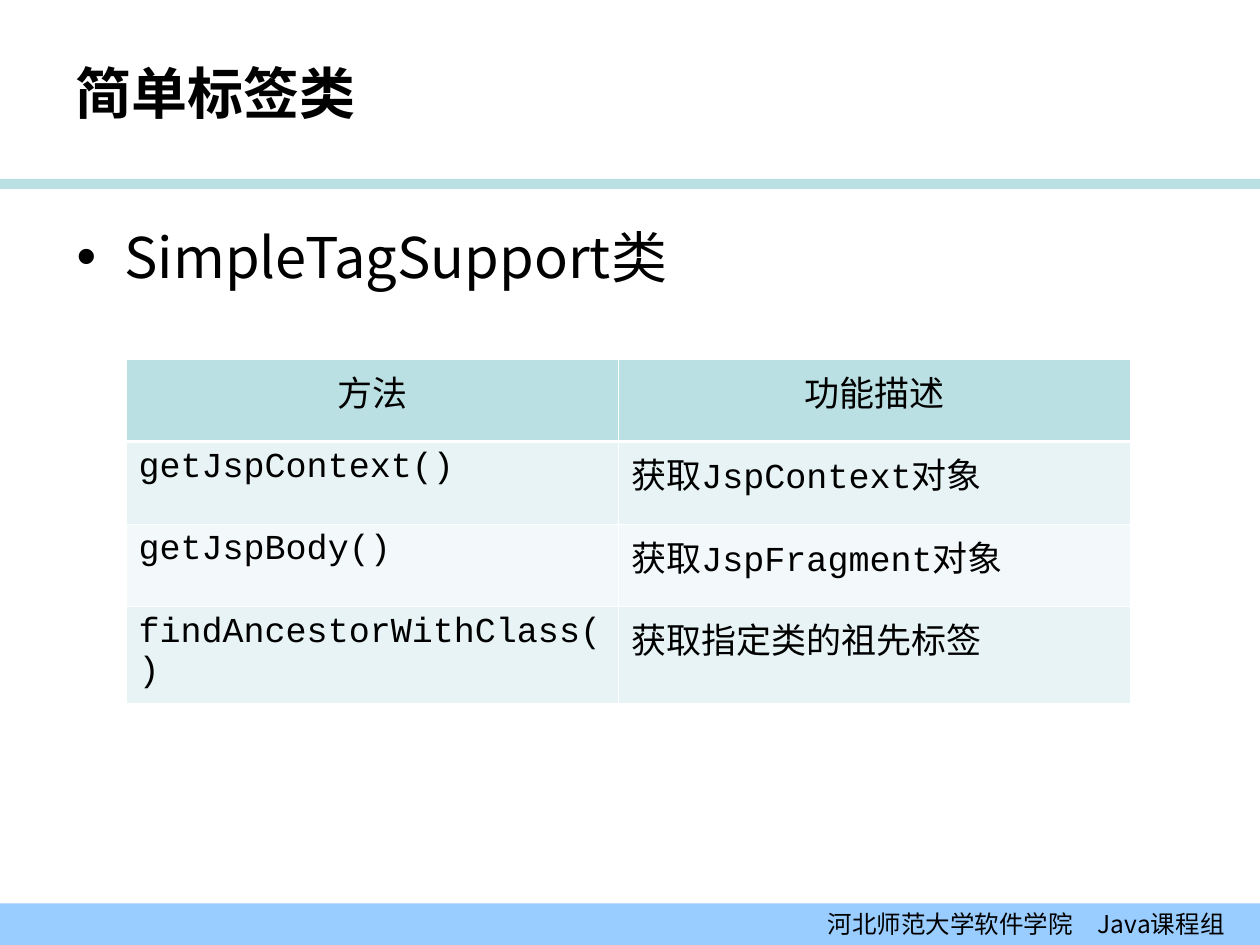
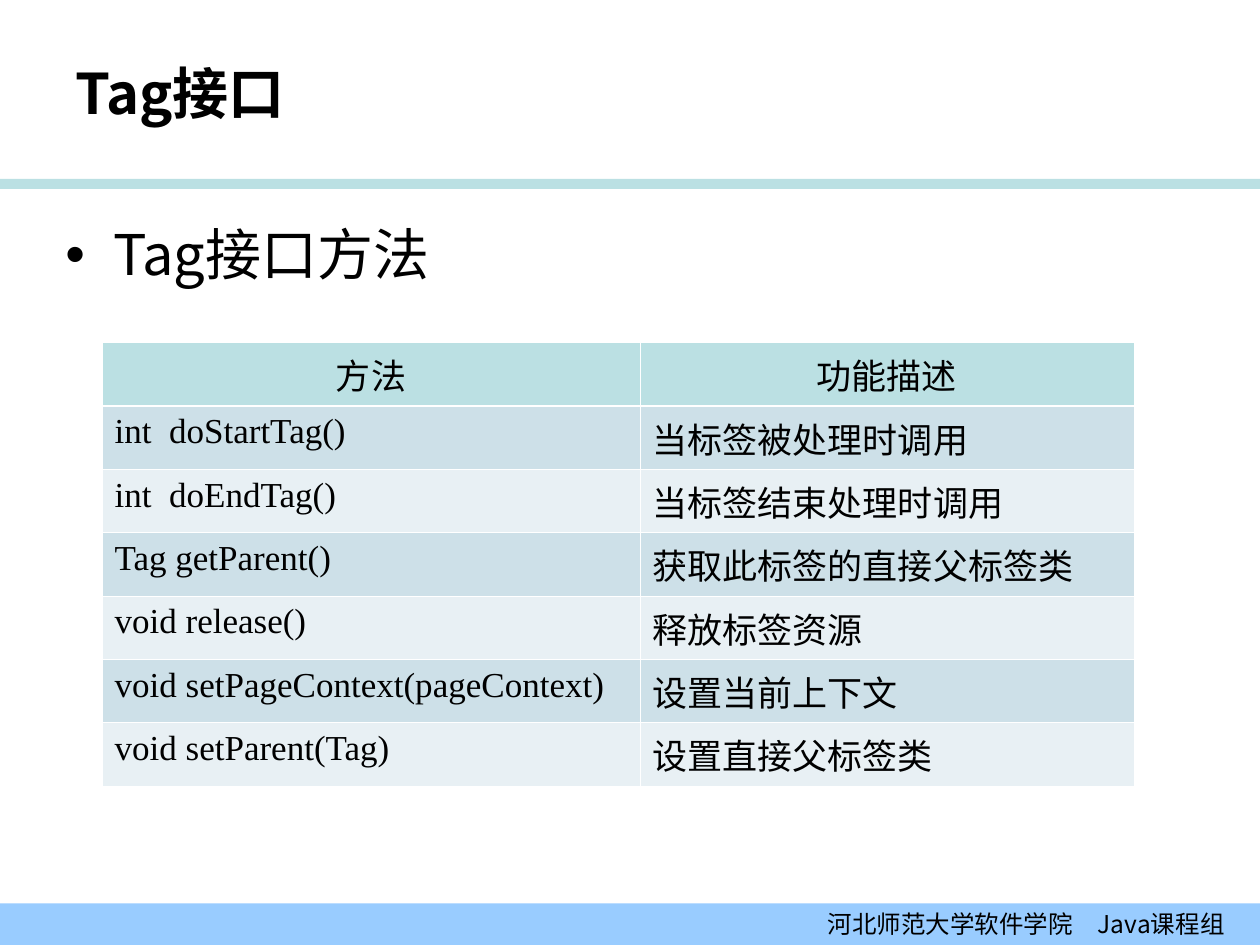
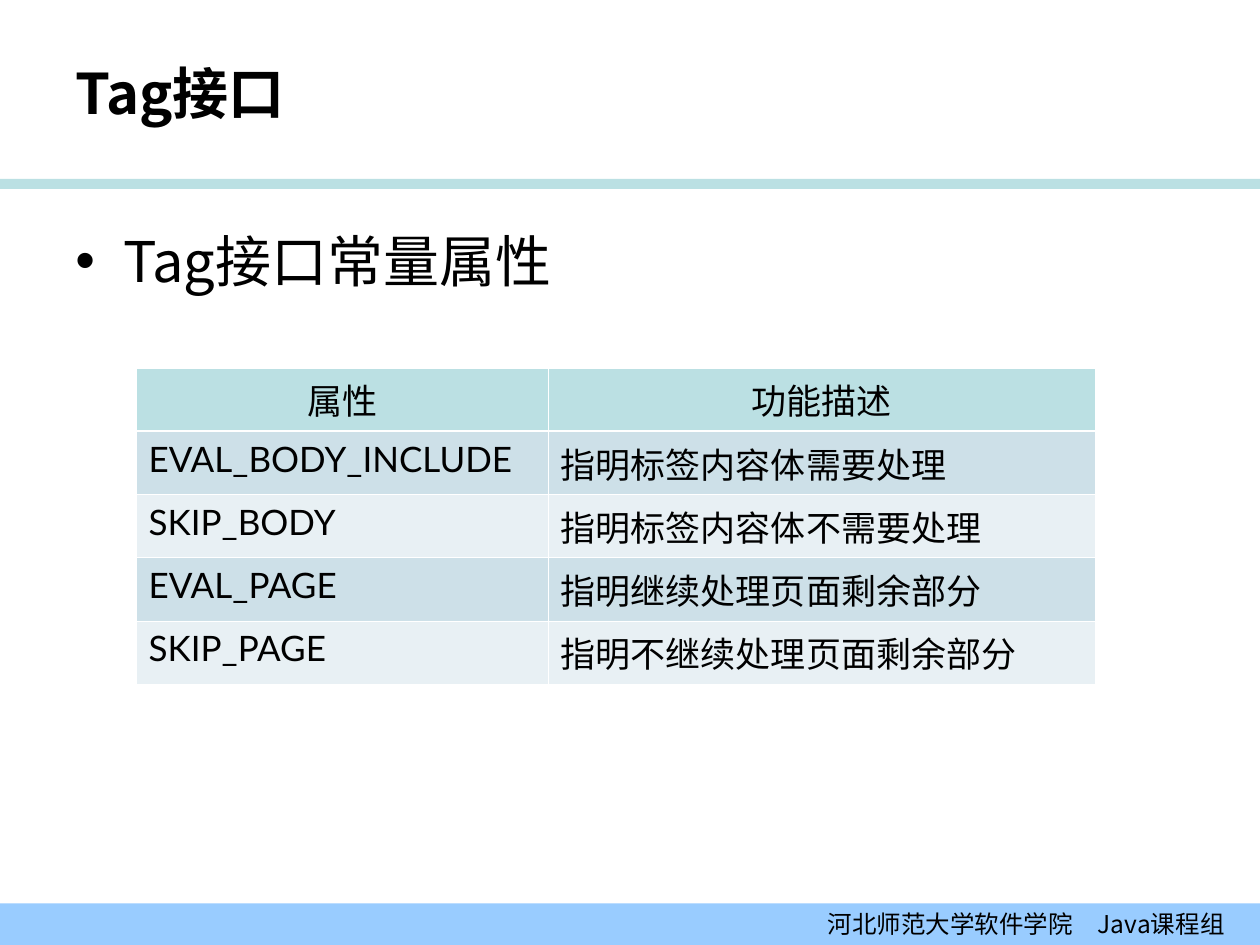
from lxml import etree
from pptx import Presentation
from pptx.dml.color import RGBColor
from pptx.enum.shapes import MSO_SHAPE as Shape
from pptx.enum.text import MSO_ANCHOR as Anchor, PP_ALIGN as Align
from pptx.oxml.ns import qn
from pptx.util import Inches, Pt

# Shared style
BLACK = RGBColor(0x00, 0x00, 0x00)
TEAL = RGBColor(0xBB, 0xE0, 0xE3)
SKY = RGBColor(0x99, 0xCC, 0xFF)
MINT_BANDS = (RGBColor(0xE7, 0xF3, 0xF4), RGBColor(0xF3, 0xF9, 0xFA))
BLUE_BANDS = (RGBColor(0xCD, 0xE0, 0xE8), RGBColor(0xE8, 0xF0, 0xF4))
BORDER = "FFFFFF"
THIN, THICK = 0.45, 1.47
SANS, MONO, SERIF, LATO = "Noto Sans CJK SC", "Courier New", "Times New Roman", "Lato"
FOOTER = "河北师范大学软件学院　Java课程组"

# Slide content: each table lists its header row first
SLIDES = [
    {
        "title": "简单标签类",
        "bullet": "SimpleTagSupport类",
        "bullet_at": (0.51, 1.72, 9, 3.2),
        "line_spacing": 1.0,
        "table_at": (1, 2.85),
        "columns": (3.91, 4.06),
        "table_height": 2.62,
        "fonts": (MONO, MONO),
        "header_font": MONO,
        "bands": MINT_BANDS,
        "rows": [
            ("方法", "功能描述"),
            ("getJspContext()", "获取JspContext对象"),
            ("getJspBody()", "获取JspFragment对象"),
            ("findAncestorWithClass()", "获取指定类的祖先标签"),
        ],
    },
    {
        "title": "Tag接口",
        "bullet": "Tag接口方法",
        "bullet_at": (0.42, 1.75, 9, 5.34),
        "line_spacing": 0.9,
        "table_at": (0.81, 2.72),
        "columns": (4.27, 3.92),
        "table_height": 3.52,
        "fonts": (SERIF, LATO),
        "header_font": LATO,
        "bands": BLUE_BANDS,
        "rows": [
            ("方法", "功能描述"),
            ("int  doStartTag()", "当标签被处理时调用"),
            ("int  doEndTag()", "当标签结束处理时调用"),
            ("Tag getParent()", "获取此标签的直接父标签类"),
            ("void release()", "释放标签资源"),
            ("void setPageContext(pageContext)", "设置当前上下文"),
            ("void setParent(Tag)", "设置直接父标签类"),
        ],
    },
    {
        "title": "Tag接口",
        "bullet": "Tag接口常量属性",
        "bullet_at": (0.5, 1.75, 9, 4.95),
        "line_spacing": 1.0,
        "table_at": (1.08, 2.92),
        "columns": (3.27, 4.34),
        "table_height": 2.51,
        "fonts": (LATO, LATO),
        "header_font": LATO,
        "bands": BLUE_BANDS,
        "rows": [
            ("属性", "功能描述"),
            ("EVAL_BODY_INCLUDE", "指明标签内容体需要处理"),
            ("SKIP_BODY", "指明标签内容体不需要处理"),
            ("EVAL_PAGE", "指明继续处理页面剩余部分"),
            ("SKIP_PAGE", "指明不继续处理页面剩余部分"),
        ],
    },
]


def write(frame, text, size, font=SANS, bold=False, align=Align.LEFT):
    """Fill the first paragraph of a text frame and return it."""
    para = frame.paragraphs[0]
    para.alignment = align
    span = para.add_run()
    span.text = text
    for name, value in {"size": Pt(size), "name": font, "bold": bold}.items():
        setattr(span.font, name, value)
    span.font.color.rgb = BLACK
    latin = span.font._element.find(qn("a:latin"))
    east_asian = etree.Element(qn("a:ea"), typeface=SANS)
    latin.addnext(east_asian)
    return para


def add_band(page, top, height, color):
    band = page.shapes.add_shape(
        Shape.RECTANGLE, 0, Inches(top), Inches(10), Inches(height))
    band.shadow.inherit = False
    band.fill.solid()
    band.fill.fore_color.rgb = color
    band.line.fill.background()
    return band


def add_text(page, at, text, anchor=Anchor.TOP, bold=False):
    box = page.shapes.add_textbox(*map(Inches, at))
    box.text_frame.word_wrap = True
    box.text_frame.vertical_anchor = anchor
    return write(box.text_frame, text, 32, bold=bold)


def add_bullet(para):
    props = para._p.get_or_add_pPr()
    props.set("marL", str(Inches(0.38)))
    props.set("indent", str(-Inches(0.38)))
    etree.SubElement(props, qn("a:buFont"), typeface="Arial")
    etree.SubElement(props, qn("a:buChar"), char="•")


def set_borders(cell, widths):
    """Give a cell its left, right, top and bottom lines."""
    props = cell._tc.get_or_add_tcPr()
    for position, (side, width) in enumerate(widths.items()):
        line = etree.Element(qn(f"a:ln{side}"), w=str(Pt(width)))
        fill = etree.SubElement(line, qn("a:solidFill"))
        etree.SubElement(fill, qn("a:srgbClr"), val=BORDER)
        props.insert(position, line)


def add_table(page, item):
    rows, columns = item["rows"], item["columns"]
    left, top = item["table_at"]
    # The height is shared equally among the rows
    table = page.shapes.add_table(
        len(rows), len(columns), Inches(left), Inches(top),
        Inches(sum(columns)), Inches(item["table_height"])).table
    for column, width in zip(table.columns, columns):
        column.width = Inches(width)
    for r, texts in enumerate(rows):
        header = r == 0
        for c, text in enumerate(texts):
            cell = table.cell(r, c)
            cell.fill.solid()
            cell.fill.fore_color.rgb = TEAL if header else item["bands"][(r - 1) % 2]
            set_borders(cell, {"L": THIN, "R": THIN,
                               "T": THICK if r == 1 else THIN,
                               "B": THICK if header else THIN})
            write(cell.text_frame, text, 20,
                  item["header_font"] if header else item["fonts"][c],
                  align=Align.CENTER if header else Align.LEFT)


def add_page(deck, item):
    page = deck.slides.add_slide(deck.slide_layouts[6])
    # Title rule and footer band
    add_band(page, 1.42, 0.08, TEAL)
    footer = add_band(page, 7.17, 0.33, SKY).text_frame
    footer.word_wrap = True
    footer.vertical_anchor = Anchor.MIDDLE
    footer.margin_right = Inches(0.28)
    write(footer, FOOTER, 14, align=Align.RIGHT)
    # Title, bullet and table
    add_text(page, (0.5, 0.3, 8, 0.87), item["title"], Anchor.MIDDLE, bold=True)
    para = add_text(page, item["bullet_at"], item["bullet"])
    para.line_spacing = item["line_spacing"]
    add_bullet(para)
    add_table(page, item)


def main():
    deck = Presentation()
    deck.slide_width, deck.slide_height = Inches(10), Inches(7.5)
    for item in SLIDES:
        add_page(deck, item)
    deck.save("out.pptx")


if __name__ == "__main__":
    main()
